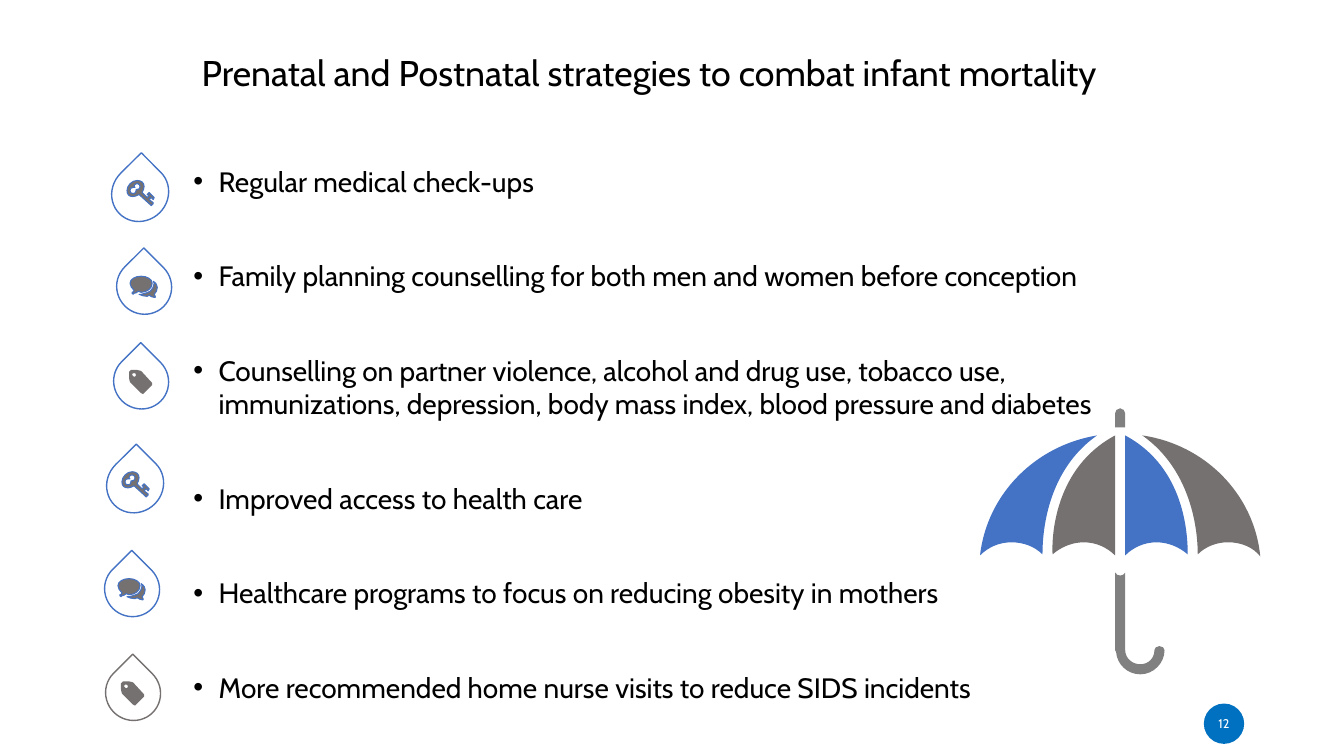
from dataclasses import dataclass

from lxml import etree
from pptx import Presentation
from pptx.dml.color import RGBColor
from pptx.enum.shapes import MSO_SHAPE
from pptx.enum.text import MSO_ANCHOR, PP_ALIGN
from pptx.oxml.ns import qn
from pptx.util import Inches, Pt

TEARDROP = MSO_SHAPE.TEAR
CONNECTOR_DOT = MSO_SHAPE.FLOWCHART_CONNECTOR
MIDDLE = MSO_ANCHOR.MIDDLE
CENTER = PP_ALIGN.CENTER


@dataclass(frozen=True)
class Theme:
    """Font, colours and type sizes of the slide."""

    font: str = "Cabin"
    text: str = "000000"
    white: str = "FFFFFF"
    blue: str = "4472C4"
    gray: str = "767171"
    handle: str = "808080"
    badge: str = "0070C0"
    title_size: float = 25.5
    body_size: float = 20
    badge_size: float = 9
    item_gap: float = 43.5


THEME = Theme()

# Outlines in hundredths of an inch: a start point, then lines (2 numbers) or curves (6).
KEY = (
    "26 19; 24 17; 22 19; 26 22; 26 23; 24 25; 23 24;"
    "12 14; 10 15 8 16 6 16; 2 16 0 14 0 10; 0 5 5 0 10 0; 14 0 17 2 17 6; 17 8 16 10 15 12;"
    "20 17; 22 15; 20 14; 22 12; 27 17; 26 19",
    "10 3; 8 3 7 5 7 6; 8 7; 6 7; 4 7 3 8 3 10; 3 12 4 13 6 13;"
    "8 13 9 12 9 10; 9 9; 10 9; 12 9 13 8 13 6; 13 5 12 3 10 3",
)
CHAT = (
    "11 16; 8 15; 7 16 6 17 4 17; 3 18; 2 17; 2 16;"
    "3 16 4 15 4 14; 2 12 0 10 0 7; 0 3 5 0 11 0; 17 0 22 3 22 7; 22 12 17 16 11 16",
    "24 18; 25 20; 25 21; 24 21; 22 21 21 20 19 19; 17 20;"
    "14 20 11 19 9 18; 11 18; 14 18 17 16 20 15; 22 13 24 10 24 7;"
    "23 5; 26 7 27 9 27 11; 27 14 26 16 24 18",
)
TAG = (
    "23 15; 15 23; 14 24; 12 23; 1 12; 1 11 0 10 0 8; 0 2;"
    "2 0; 8 0; 9 0 11 1 12 1; 23 13; 23 15",
    "5 3; 4 3 3 4 3 5; 3 6 4 7 5 7; 6 7 7 6 7 5; 7 4 6 3 5 3",
)
UMBRELLA = (
    ("31 133; 19 133 8 138 0 146; 7 85 55 37 116 27; 65 63 62 126 62 145;"
     "54 137 43 133 31 133", THEME.blue),
    ("103 133; 91 133 80 138 72 145; 71 127 74 59 134 27; 134 146;"
     "126 138 115 133 103 133", THEME.gray),
    ("175 133; 163 133 152 138 144 146; 144 27; 204 59 206 127 206 145;"
     "198 138 187 133 175 133", THEME.blue),
    ("246 133; 235 133 224 137 216 145; 216 126 212 63 161 27; 223 36 272 85 278 147;"
     "271 138 259 133 246 133", THEME.gray),
    ("139 166; 137 166 135 165 134 163; 134 240; 135 242;"
     "136 254 146 264 159 264; 172 264 183 253 183 240; 183 238 181 236 178 236;"
     "175 236 173 238 173 240; 173 248 167 254 159 254; 151 254 144 248 144 240;"
     "144 163; 143 165 141 166 139 166", THEME.handle),
    ("144 19; 144 5; 144 3 142 0 139 0; 136 0 134 3 134 5; 134 19", THEME.handle),
)

DROPS = (
    (1.10, 1.64, 0.58, KEY, 0.16, 0.15, True, THEME.blue),
    (1.16, 2.57, 0.54, CHAT, 0.13, 0.17, True, THEME.blue),
    (1.13, 3.51, 0.54, TAG, 0.15, 0.16, False, THEME.blue),
    (1.05, 4.53, 0.58, KEY, 0.16, 0.15, True, THEME.blue),
    (1.04, 5.57, 0.54, CHAT, 0.13, 0.17, True, THEME.blue),
    (1.05, 6.60, 0.54, TAG, 0.15, 0.16, False, THEME.gray),
)
STRATEGIES = (
    "Regular medical check-ups",
    "Family planning counselling for both men and women before conception",
    "Counselling on partner violence, alcohol and drug use, tobacco use, "
    "immunizations, depression, body mass index, blood pressure and diabetes",
    "Improved access to health care",
    "Healthcare programs to focus on reducing obesity in mothers",
    "More recommended home nurse visits to reduce SIDS incidents",
)


def paint(sp, fill=None, line=None, width=1):
    """Set fill and outline, and drop the shadow."""
    sp.shadow.inherit = False
    if fill:
        sp.fill.solid()
        sp.fill.fore_color.rgb = RGBColor.from_string(fill)
    else:
        sp.fill.background()
    if line:
        sp.line.color.rgb = RGBColor.from_string(line)
        sp.line.width = Pt(width)
    else:
        sp.line.fill.background()


def bend(sp, sizes):
    """Merge each run of three line steps that stands for a curve into one Bézier step."""
    steps = sp._element.iter(qn("a:lnTo"))
    for group in [[next(steps) for _ in range(size)] for size in sizes]:
        if len(group) == 3:
            curve = etree.Element(qn("a:cubicBezTo"))
            group[0].addprevious(curve)
            for step in group:
                curve.append(step[0])
                step.getparent().remove(step)


def add_outline(shapes, x, y, outlines, fill, line=None):
    """Draw closed outlines as one curved freeform placed from (x, y)."""
    builder, sizes = None, []
    for outline in outlines:
        segments = [segment.split() for segment in outline.split(";")]
        start, *rest = [(Inches(x + int(n[i]) / 100), Inches(y + int(n[i + 1]) / 100))
                        for n in segments for i in range(0, len(n), 2)]
        sizes += [len(n) // 2 for n in segments[1:]]
        if builder is None:
            builder = shapes.build_freeform(*start)
        else:
            builder.move_to(*start)
        builder.add_line_segments(rest, close=True)
    sp = builder.convert_to_shape()
    bend(sp, sizes)
    paint(sp, fill, line, 0.75)


def add_drop(s, x, y, width, glyph, dx, dy, outlined, line):
    """Add a teardrop with its glyph as one group."""
    shapes = s.shapes.add_group_shape().shapes
    sp = shapes.add_shape(TEARDROP, Inches(x), Inches(y), Inches(width), Inches(0.55))
    sp.rotation = 315.1
    paint(sp, line=line)
    add_outline(shapes, x + dx, y + dy, glyph, THEME.gray, THEME.blue if outlined else None)


def add_umbrella(s, x, y):
    """Add the umbrella as one group."""
    shapes = s.shapes.add_group_shape().shapes
    for outline, fill in UMBRELLA:
        add_outline(shapes, x, y, (outline,), fill)


def add_run(p, text, size, color):
    """Add a run in the theme font."""
    r = p.add_run()
    r.text = text
    r.font.name = THEME.font
    r.font.size = Pt(size)
    r.font.color.rgb = RGBColor.from_string(color)


def add_text_frame(s, y, height):
    """Add a wrapping text box in the main column."""
    tf = s.shapes.add_textbox(Inches(1.82), Inches(y), Inches(9.96), Inches(height)).text_frame
    tf.word_wrap = True
    return tf


def add_bullets(s, items):
    """Add the bulleted list."""
    tf = add_text_frame(s, 1.58, 5.68)
    for i, item in enumerate(items):
        p = tf.add_paragraph() if i else tf.paragraphs[0]
        pPr = p._p.get_or_add_pPr()
        pPr.set("marL", str(Inches(0.25)))
        pPr.set("indent", str(Inches(-0.25)))
        etree.SubElement(pPr, qn("a:buFont")).set("typeface", "Arial")
        etree.SubElement(pPr, qn("a:buChar")).set("char", "•")
        if i:
            p.space_before = Pt(THEME.item_gap)
        add_run(p, item, THEME.body_size, THEME.text)


def add_title(s, text):
    """Add the slide title."""
    tf = add_text_frame(s, 0.46, 0.53)
    tf.margin_left = Inches(0.18)
    add_run(tf.paragraphs[0], text, THEME.title_size, THEME.text)


def add_page_badge(s, number):
    """Add the round page number."""
    sp = s.shapes.add_shape(CONNECTOR_DOT, Inches(11.94), Inches(6.98), Inches(0.4), Inches(0.4))
    paint(sp, THEME.badge)
    tf = sp.text_frame
    tf.margin_left = tf.margin_right = 0
    tf.vertical_anchor = MIDDLE
    p = tf.paragraphs[0]
    p.alignment = CENTER
    add_run(p, number, THEME.badge_size, THEME.white)


def main():
    """Build and save the slide."""
    prs = Presentation()
    prs.slide_width, prs.slide_height = Inches(13.33), Inches(7.5)
    s = prs.slides.add_slide(prs.slide_layouts[6])
    add_umbrella(s, 9.72, 4.05)
    for drop in DROPS:
        add_drop(s, *drop)
    add_bullets(s, STRATEGIES)
    add_title(s, "Prenatal and Postnatal strategies to combat infant mortality")
    add_page_badge(s, "12")
    prs.save("out.pptx")


if __name__ == "__main__":
    main()
